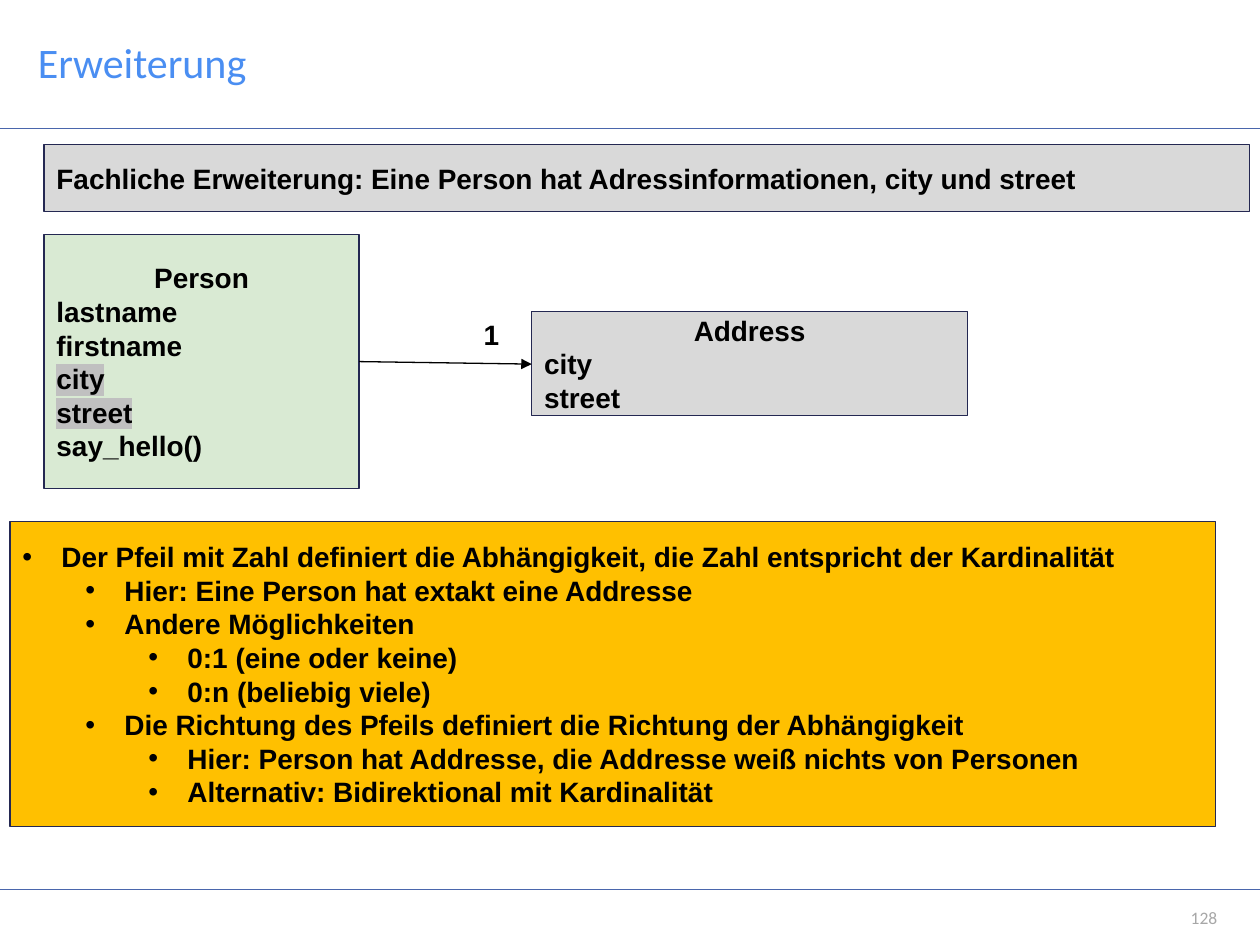
from dataclasses import dataclass

import lxml.etree
import pptx
import pptx.dml.color
import pptx.enum.shapes
import pptx.enum.text
import pptx.oxml
import pptx.oxml.ns
import pptx.util

Inches = pptx.util.Inches
Pt = pptx.util.Pt
qn = pptx.oxml.ns.qn
ALIGN = pptx.enum.text.PP_ALIGN
MIDDLE = pptx.enum.text.MSO_ANCHOR.MIDDLE


@dataclass(frozen=True)
class Theme:
    title: str = "4A8EF2"
    rule: str = "4A66AC"
    border: str = "242852"
    text: str = "000000"
    number: str = "A7A7A7"
    green: str = "D9EAD3"
    grey: str = "D9D9D9"
    amber: str = "FFC000"
    highlight: str = "C0C0C0"
    heading_font: str = "Calibri"
    body_font: str = "Arial"
    title_size: int = 24
    body_size: int = 16
    number_size: int = 10
    thin: float = 0.75


THEME = Theme()


@dataclass(frozen=True)
class Line:
    text: str
    centred: bool = False
    highlighted: bool = False
    level: int | None = None  # bullet level, None for no bullet


@dataclass(frozen=True)
class Box:
    left: float
    top: float
    width: float
    height: float
    fill: str
    lines: tuple[Line, ...]


def rgb(colour: str):
    return pptx.dml.color.RGBColor.from_string(colour)


def format_runs(p, font: str, size: int, colour: str, bold: bool = False) -> None:
    for r in p.runs:
        r.font.name = font
        r.font.size = Pt(size)
        r.font.bold = bold
        r.font.color.rgb = rgb(colour)


def add_bullet(p, level: int) -> None:
    p.level = level
    pPr = p._p.get_or_add_pPr()
    pPr.set("marL", str(Inches(0.31 + 0.5 * level)))
    pPr.set("indent", str(Inches(-0.31)))
    lxml.etree.SubElement(pPr, qn("a:buFont")).set("typeface", THEME.body_font)
    lxml.etree.SubElement(pPr, qn("a:buChar")).set("char", "•")


def highlight(p) -> None:
    for r in p.runs:
        mark = lxml.etree.Element(qn("a:highlight"))
        lxml.etree.SubElement(mark, qn("a:srgbClr")).set("val", THEME.highlight)
        r._r.rPr.find(qn("a:solidFill")).addnext(mark)


def add_box(s, box: Box) -> None:
    sp = s.shapes.add_shape(
        pptx.enum.shapes.MSO_SHAPE.RECTANGLE,
        Inches(box.left), Inches(box.top), Inches(box.width), Inches(box.height))
    sp.shadow.inherit = False
    sp.fill.solid()
    sp.fill.fore_color.rgb = rgb(box.fill)
    sp.line.color.rgb = rgb(THEME.border)
    sp.line.width = Pt(THEME.thin)
    tf = sp.text_frame
    tf.word_wrap = True
    tf.vertical_anchor = MIDDLE
    tf.margin_left = tf.margin_right = tf.margin_top = tf.margin_bottom = Inches(0.1)
    tf.text = "\n".join(line.text for line in box.lines)
    for p, line in zip(tf.paragraphs, box.lines):
        p.alignment = ALIGN.CENTER if line.centred else ALIGN.LEFT
        if line.level is not None:
            add_bullet(p, line.level)
        format_runs(p, THEME.body_font, THEME.body_size, THEME.text, bold=True)
        if line.highlighted:
            highlight(p)


def add_line(s, start: tuple[float, float], end: tuple[float, float],
             colour: str, width: float, arrow: bool = False) -> None:
    line = s.shapes.add_connector(
        pptx.enum.shapes.MSO_CONNECTOR.STRAIGHT,
        *(Inches(v) for v in start + end))
    line.line.color.rgb = rgb(colour)
    line.line.width = Pt(width)
    if arrow:
        tail = lxml.etree.SubElement(line.line._get_or_add_ln(), qn("a:tailEnd"))
        tail.set("type", "triangle")
    lxml.etree.SubElement(line._element.spPr, qn("a:effectLst"))


def add_label(s, text: str, left: float, top: float, width: float, height: float):
    tf = s.shapes.add_textbox(
        Inches(left), Inches(top), Inches(width), Inches(height)).text_frame
    tf.word_wrap = True
    tf.text = text
    return tf


def add_title(s, text: str) -> None:
    sp = s.shapes.title
    sp.left, sp.top = Inches(0.2), Inches(-0.02)
    sp.width, sp.height = Inches(6.22), Inches(1.02)
    tf = sp.text_frame
    tf.text = text
    tf.vertical_anchor = MIDDLE
    p = tf.paragraphs[0]
    p.alignment = ALIGN.LEFT
    format_runs(p, THEME.heading_font, THEME.title_size, THEME.title)


BOXES = (
    Box(0.35, 1.86, 2.5, 2.02, THEME.green, (
        Line("Person", centred=True),
        Line("lastname"),
        Line("firstname"),
        Line("city", highlighted=True),
        Line("street", highlighted=True),
        Line("say_hello()"))),
    Box(0.35, 1.15, 9.57, 0.53, THEME.grey, (
        Line("Fachliche Erweiterung: Eine Person hat Adressinformationen, "
             "city und street"),)),
    Box(0.08, 4.14, 9.57, 2.42, THEME.amber, (
        Line("Der Pfeil mit Zahl definiert die Abhängigkeit, "
             "die Zahl entspricht der Kardinalität", level=0),
        Line("Hier: Eine Person hat extakt eine Addresse", level=1),
        Line("Andere Möglichkeiten", level=1),
        Line("0:1 (eine oder keine)", level=2),
        Line("0:n (beliebig viele)", level=2),
        Line("Die Richtung des Pfeils definiert die Richtung der Abhängigkeit", level=1),
        Line("Hier: Person hat Addresse, die Addresse weiß nichts von Personen", level=2),
        Line("Alternativ: Bidirektional mit Kardinalität", level=2))),
    Box(4.22, 2.47, 3.46, 0.83, THEME.grey, (
        Line("Address", centred=True),
        Line("city"),
        Line("street"))),
)


def main() -> None:
    prs = pptx.Presentation()
    prs.slide_width, prs.slide_height = Inches(10), Inches(7.5)
    s = prs.slides.add_slide(prs.slide_layouts[5])

    # Header and footer
    for y in (7.06, 1.02):
        add_line(s, (0, y), (10, y), THEME.rule, 1)
    add_title(s, "Erweiterung")
    tf = add_label(s, "128", 8.75, 7.06, 0.91, 0.44)
    tf.margin_left = tf.margin_right = tf.margin_top = tf.margin_bottom = 0
    tf.vertical_anchor = MIDDLE
    tf.paragraphs[0].alignment = ALIGN.RIGHT
    format_runs(tf.paragraphs[0], THEME.heading_font, THEME.number_size, THEME.number)

    # Classes and explanations
    for box in BOXES:
        add_box(s, box)

    # Association with its cardinality
    add_line(s, (2.85, 2.87), (4.22, 2.89), THEME.text, THEME.thin, arrow=True)
    tf = add_label(s, "1", 3.74, 2.47, 0.39, 0.37)
    format_runs(tf.paragraphs[0], THEME.body_font, THEME.body_size, THEME.text, bold=True)

    prs.save("out.pptx")


if __name__ == "__main__":
    main()
